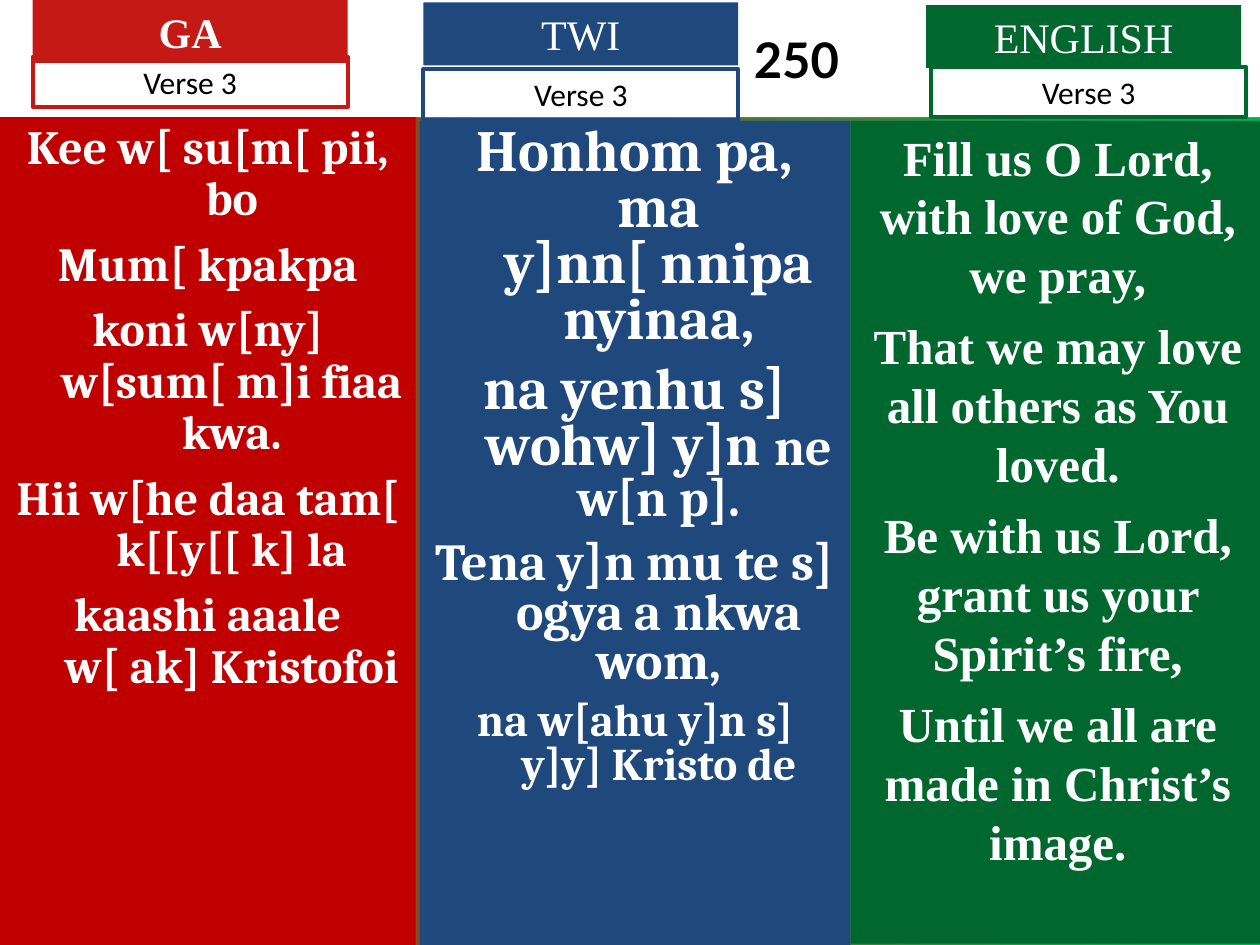
import pptx
import pptx.util
import pptx.dml.color
import pptx.enum.text
import pptx.enum.shapes

Inches, Pt = pptx.util.Inches, pptx.util.Pt
ALIGN = pptx.enum.text.PP_ALIGN.CENTER
ANCHOR = pptx.enum.text.MSO_ANCHOR
SIZING = pptx.enum.text.MSO_AUTO_SIZE
RECT = pptx.enum.shapes.MSO_SHAPE.RECTANGLE

RED, BLUE, GREEN, WHITE, BLACK = "C51915", "1F497D", "00682F", "FFFFFF", "000000"
SERIF = "Times New Roman"

COLUMNS = [
    {"box": (0, 0.93, 3.3, 6.57), "fill": "C00000", "font": "Cambria", "hang": 0.38, "spacing": 0.9,
     "verse": [
         (8, [("Kee w[ su[m[ pii, bo", 27.2)]),
         (8, [("Mum[ kpakpa", 27.2)]),
         (8, [("koni w[ny] w[sum[ m]i fiaa kwa.", 27.2)]),
         (8, [("Hii w[he daa tam[ k[[y[[ k] la", 27.2)]),
         (8, [("kaashi aaale w[ ak] Kristofoi", 27.2)])]},
    {"box": (3.33, 0.96, 3.42, 6.54), "fill": BLUE, "font": "Cambria", "hang": 0.38, "spacing": 0.8,
     "verse": [
         (9, [("Honhom pa, ma y]nn[ nnipa nyinaa,", 33.3)]),
         (8, [("na yenhu s] wohw] y]n ", 33.3), ("ne w[n p].", 29.6)]),
         (8, [("Tena y]n mu te s] ogya a nkwa wom,", 29.6)]),
         (7, [("na w[ahu y]n s] y]y] Kristo de", 25.9)])]},
    {"box": (6.75, 0.96, 3.29, 6.53), "fill": GREEN, "font": SERIF, "hang": 0, "spacing": 1.0,
     "verse": [
         (7, [("Fill us O Lord, with love of God, we pray,", 28)]),
         (7, [("That we may love all others as You loved.", 28)]),
         (7, [("Be with us Lord, grant us your Spirit’s fire,", 28)]),
         (7, [("Until we all are made in Christ’s image.", 28)])]},
]
HEADINGS = [
    ("GA", True, RED, (0.26, 0), (0.26, 0.45)),
    ("TWI", False, BLUE, (3.36, 0.02), (3.36, 0.55)),
    ("ENGLISH", False, GREEN, (7.35, 0.04), (7.39, 0.53)),
]


def rgb(value):
    return pptx.dml.color.RGBColor.from_string(value)


def apply(target, values):
    for name, value in values.items():
        setattr(target, name, value)


def add_run(p, text, color, **font):
    r = p.add_run()
    r.text = text
    apply(r.font, font)
    r.font.color.rgb = rgb(color)


def add_box(s, box, fill=None, line=None, anchor=ANCHOR.TOP, sizing=SIZING.NONE):
    sp = s.shapes.add_shape(RECT, *map(Inches, box))
    sp.shadow.inherit = False
    if fill:
        sp.fill.solid()
        sp.fill.fore_color.rgb = rgb(fill)
    else:
        sp.fill.background()
    if line:
        sp.line.color.rgb = rgb(line)
        sp.line.width = Pt(2.25)
    else:
        sp.line.fill.background()
    apply(sp.text_frame, {"word_wrap": True, "vertical_anchor": anchor, "auto_size": sizing})
    return sp.text_frame


def add_title(s, text):
    sp = s.shapes.title
    apply(sp, dict(zip(("left", "top", "width", "height"), map(Inches, (0, 0, 10, 0.93)))))
    sp.fill.solid()
    sp.fill.fore_color.rgb = rgb(WHITE)
    sp.text_frame.vertical_anchor = ANCHOR.MIDDLE
    p = sp.text_frame.paragraphs[0]
    p.alignment = ALIGN
    p._p.get_or_add_pPr().set("marL", str(Inches(2.64)))
    add_run(p, text, BLACK, name="Lato", size=Pt(28), bold=True)


def add_column(s, col):
    tf = add_box(s, col["box"], col["fill"])
    for i, (before, runs) in enumerate(col["verse"]):
        p = tf.add_paragraph() if i else tf.paragraphs[0]
        apply(p, {"alignment": ALIGN, "line_spacing": col["spacing"],
                  "space_before": Pt(before if i else 0)})
        pPr = p._p.get_or_add_pPr()
        pPr.set("marL", str(Inches(col["hang"])))
        pPr.set("indent", str(-Inches(col["hang"])))
        for text, size in runs:
            add_run(p, text, WHITE, name=col["font"], size=Pt(size), bold=True)


def add_label(s, text, box, color, fill=None, line=None, **font):
    tf = add_box(s, box, fill, line, ANCHOR.TOP, SIZING.SHAPE_TO_FIT_TEXT)
    p = tf.paragraphs[0]
    p.alignment = ALIGN
    add_run(p, text, color, **font)


def main():
    prs = pptx.Presentation()
    apply(prs, {"slide_width": Inches(10), "slide_height": Inches(7.5)})
    s = prs.slides.add_slide(prs.slide_layouts[5])
    bg = s.background.fill
    bg.gradient()
    bg.gradient_angle = 0
    for stop, color in zip(bg.gradient_stops, (RED, "00B050")):
        stop.color.rgb = rgb(color)

    add_title(s, "250")
    for col in COLUMNS:
        add_column(s, col)
    for name, bold, color, name_at, verse_at in HEADINGS:
        add_label(s, name, (*name_at, 2.5, 0.5), WHITE, fill=color,
                  name=SERIF, size=Pt(24), bold=bold)
        add_label(s, "Verse 3", (*verse_at, 2.5, 0.4), BLACK, line=color,
                  name="Calibri", size=Pt(18))
    prs.save("out.pptx")


if __name__ == "__main__":
    main()
